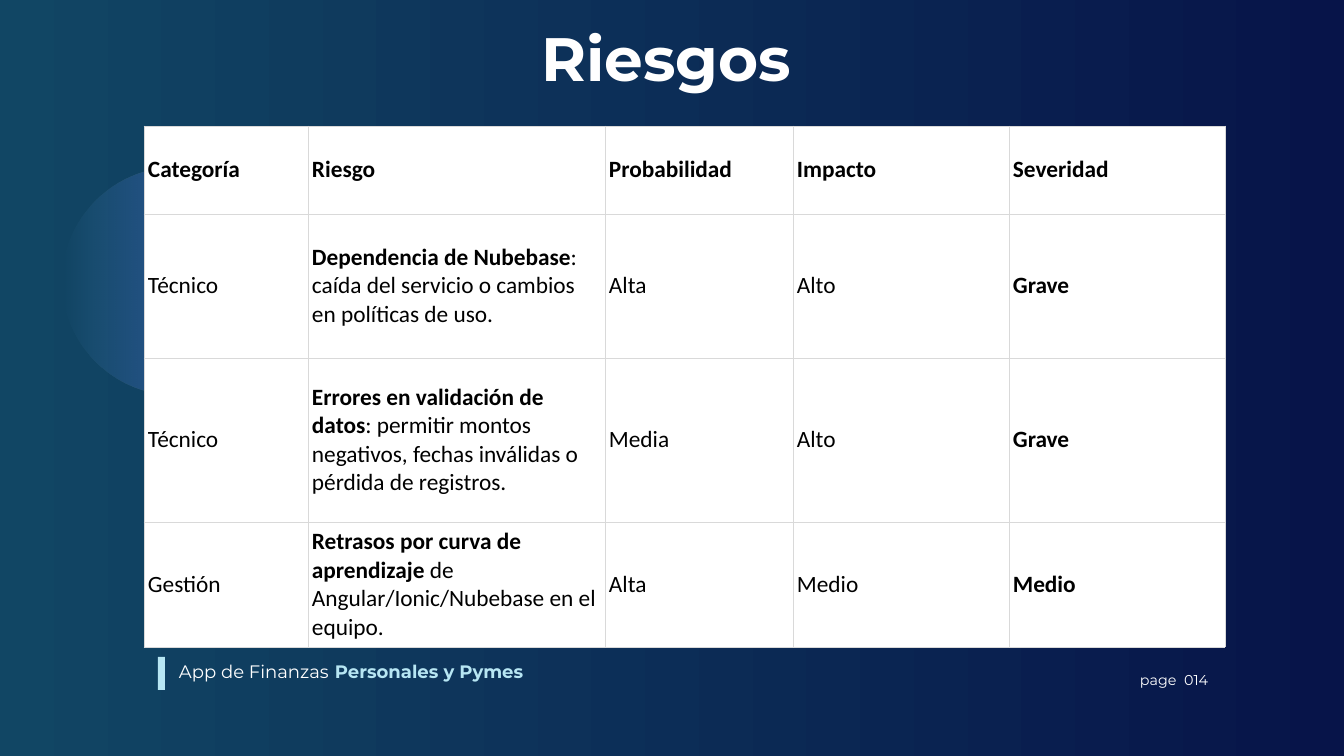
from dataclasses import dataclass

from lxml import etree
from pptx import Presentation, util as u
from pptx.dml.color import RGBColor
from pptx.enum import shapes, text
from pptx.oxml import ns

TITLE = "Riesgos"
HEADERS = ["Categoría", "Riesgo", "Probabilidad", "Impacto", "Severidad"]
RISKS = [
    ("Técnico", "Dependencia de Nubebase",
     ": caída del servicio o cambios en políticas de uso.", "Alta", "Alto", "Grave"),
    ("Técnico", "Errores en validación de datos",
     ": permitir montos negativos, fechas inválidas o pérdida de registros.",
     "Media", "Alto", "Grave"),
    ("Gestión", "Retrasos por curva de aprendizaje",
     " de Angular/Ionic/Nubebase en el equipo.", "Alta", "Medio", "Medio"),
]
COLUMNS = [164, 297, 188, 216, 216]
ROWS = [88, 144, 164, 125]


@dataclass(frozen=True)
class Theme:
    display: str = "Montserrat"
    body: str = "Calibri"
    white: str = "FFFFFF"
    black: str = "000000"
    accent: str = "B7E6F3"
    border: str = "D9D9D9"
    backdrop: tuple = ("114664", "071449")
    glow: tuple = (("62A8E3", 0), ("3B27C6", 72))
    title_size: float = 65.6
    cell_size: float = 25
    footer_size: float = 19.3
    page_size: float = 15.3
    leading: float = 0.92


THEME = Theme()

FOOTER = [
    ("App de Finanzas", (179, 666, 156, 18), THEME.footer_size, THEME.white, False),
    ("Personales y Pymes", (335, 666, 204, 18), THEME.footer_size, THEME.accent, True),
    ("page  014", (1140, 675, 129, 15), THEME.page_size, THEME.white, False),
]


def px(count):
    return round(count * u.Inches(1) / 67.2)


def rgb(value):
    return RGBColor.from_string(value)


def style(font, name, size, color, bold):
    font.name, font.size, font.bold = name, u.Pt(size), bold
    font.color.rgb = rgb(color)


def write(box, words, place, size, color, bold):
    box.left, box.top, box.width, box.height = map(px, place)
    frame = box.text_frame
    frame.margin_left = frame.margin_top = frame.margin_right = frame.margin_bottom = 0
    frame.word_wrap = True
    frame.auto_size = text.MSO_AUTO_SIZE.NONE
    frame.vertical_anchor = text.MSO_ANCHOR.TOP
    frame.text = words
    para = frame.paragraphs[0]
    para.alignment = text.PP_ALIGN.LEFT
    para.line_spacing = u.Pt(round(size * THEME.leading, 1))
    para.space_before = u.Pt(0)
    style(para.font, THEME.display, size, color, bold)


def paint_gradient(fill, colors):
    fill.gradient()
    fill.gradient_angle = 0
    for stop, color in zip(fill.gradient_stops, colors):
        stop.color.rgb = rgb(color)


def add_plain_shape(page, kind, place):
    shape = page.shapes.add_shape(kind, *map(px, place))
    shape.shadow.inherit = False
    shape.line.fill.background()
    return shape


def add_glow(page):
    circle = add_plain_shape(page, shapes.MSO_SHAPE.OVAL, (63, 168, 227, 227))
    paint_gradient(circle.fill, [color for color, _ in THEME.glow])
    colors = circle._element.spPr.iter(ns.qn("a:srgbClr"))
    for node, (_, opacity) in zip(colors, THEME.glow):
        etree.SubElement(node, ns.qn("a:alpha"), val=str(opacity * 1000))


def add_borders(cell):
    props = cell._tc.get_or_add_tcPr()
    for index, side in enumerate(("lnL", "lnR", "lnT", "lnB")):
        line = etree.Element(ns.qn(f"a:{side}"), w=str(u.Pt(0.75)))
        solid = etree.SubElement(line, ns.qn("a:solidFill"))
        etree.SubElement(solid, ns.qn("a:srgbClr"), val=THEME.border)
        props.insert(index, line)


def fill_cell(cell, spans):
    cell.margin_left = cell.margin_right = px(4)
    cell.margin_top = cell.margin_bottom = px(2)
    cell.vertical_anchor = text.MSO_ANCHOR.MIDDLE
    cell.fill.solid()
    cell.fill.fore_color.rgb = rgb(THEME.white)
    add_borders(cell)
    para = cell.text_frame.paragraphs[0]
    for words, bold in spans:
        span = para.add_run()
        span.text = words
        style(span.font, THEME.body, THEME.cell_size, THEME.black, bold)


def add_risk_table(page):
    grid = [[[(header, True)] for header in HEADERS]]
    for category, risk, detail, chance, impact, severity in RISKS:
        grid.append([[(category, False)], [(risk, True), (detail, False)],
                     [(chance, False)], [(impact, False)], [(severity, True)]])
    place = (144, 126, sum(COLUMNS), sum(ROWS))
    table = page.shapes.add_table(len(ROWS), len(COLUMNS), *map(px, place)).table
    table.first_row = table.horz_banding = False
    for column, width in zip(table.columns, COLUMNS):
        column.width = px(width)
    for row, height, contents in zip(table.rows, ROWS, grid):
        row.height = px(height)
        for cell, spans in zip(row.cells, contents):
            fill_cell(cell, spans)


def main():
    deck = Presentation()
    deck.slide_width, deck.slide_height = px(1344), px(756)
    page = deck.slides.add_slide(deck.slide_layouts[5])
    paint_gradient(page.background.fill, THEME.backdrop)

    write(page.shapes.title, TITLE, (541, 37, 556, 60), THEME.title_size, THEME.white, True)
    marker = add_plain_shape(page, shapes.MSO_SHAPE.RECTANGLE, (158, 657, 7, 33))
    marker.fill.solid()
    marker.fill.fore_color.rgb = rgb(THEME.accent)
    add_glow(page)
    for words, place, size, color, bold in FOOTER:
        write(page.shapes.add_textbox(0, 0, 0, 0), words, place, size, color, bold)
    add_risk_table(page)
    deck.save("out.pptx")


if __name__ == "__main__":
    main()
